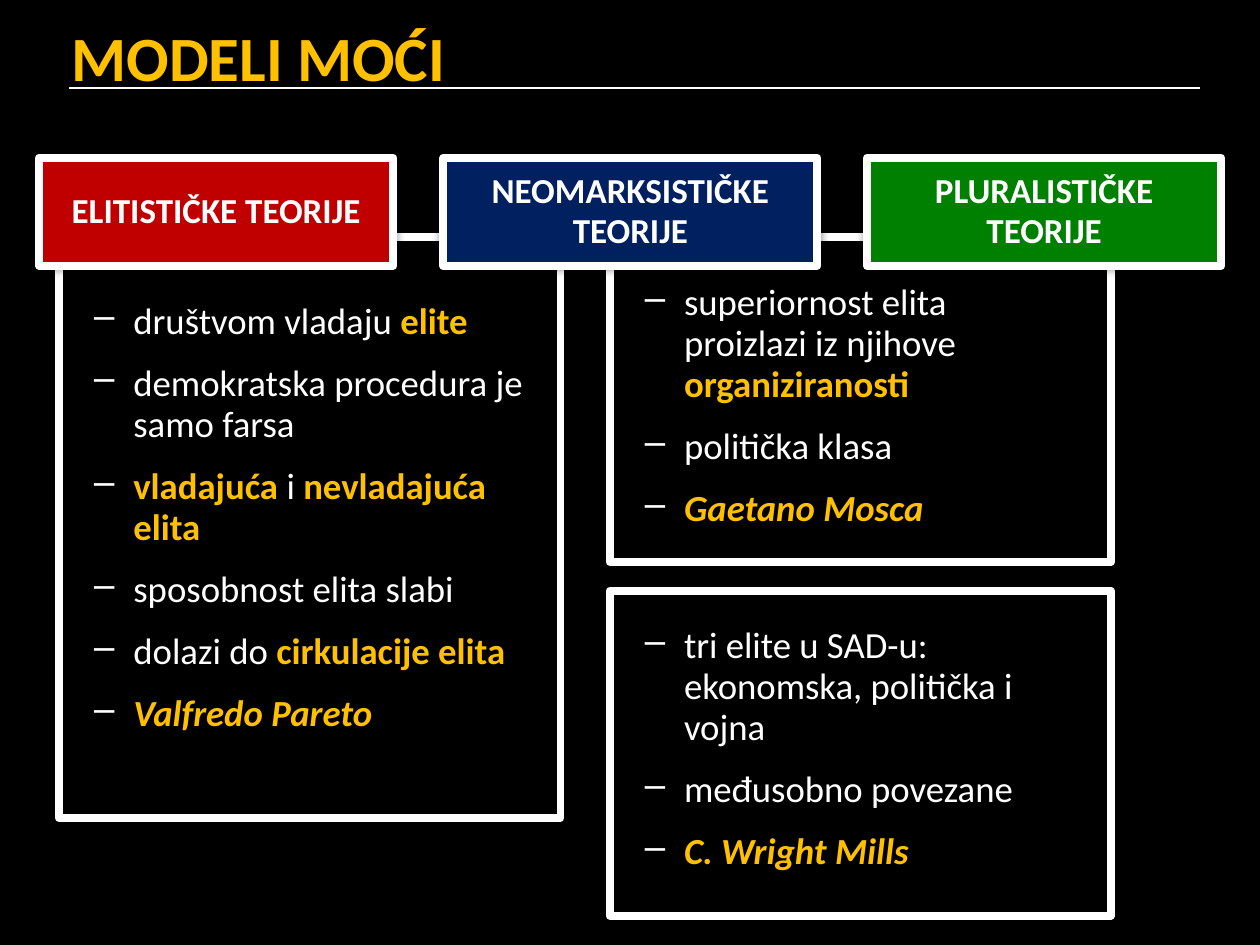
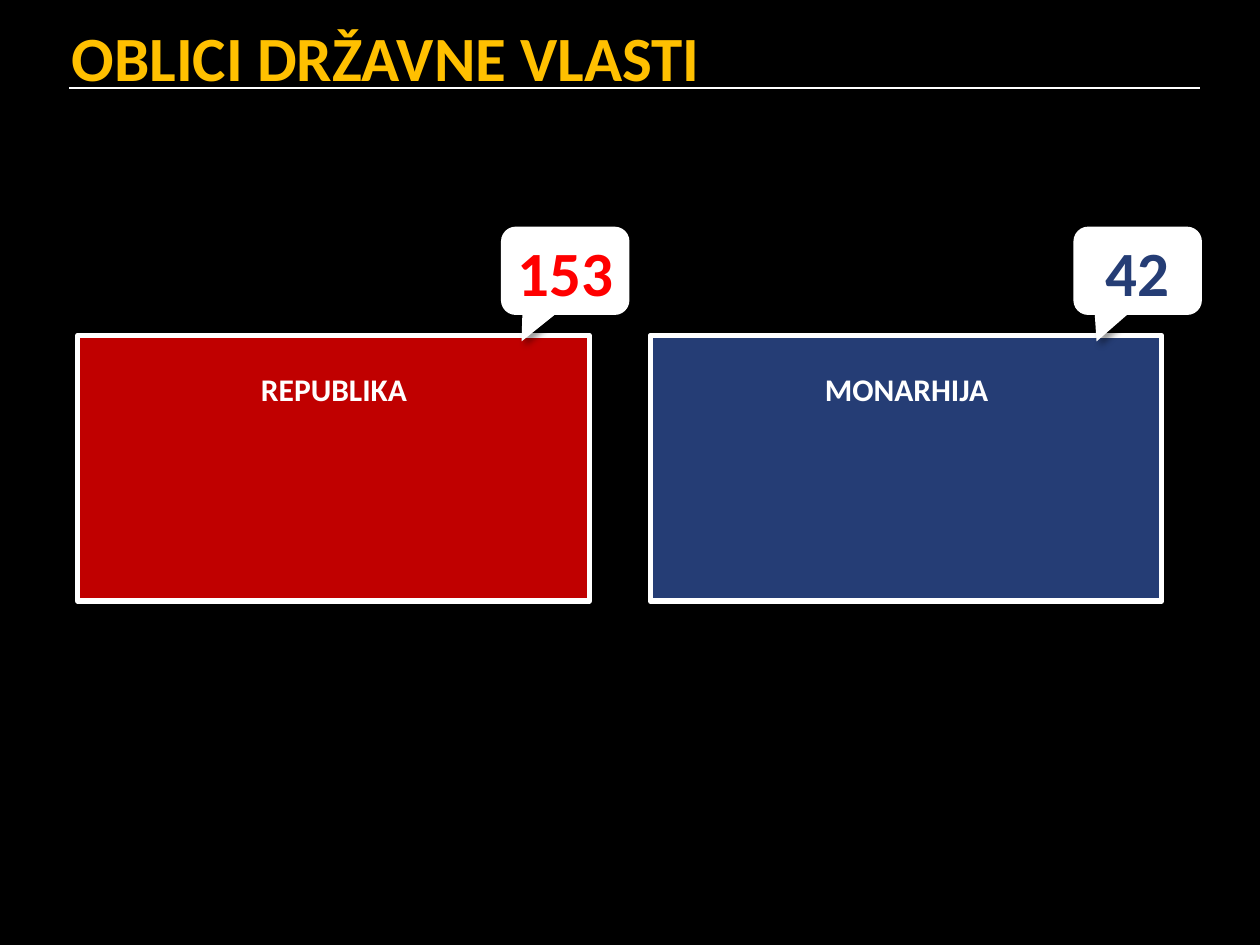
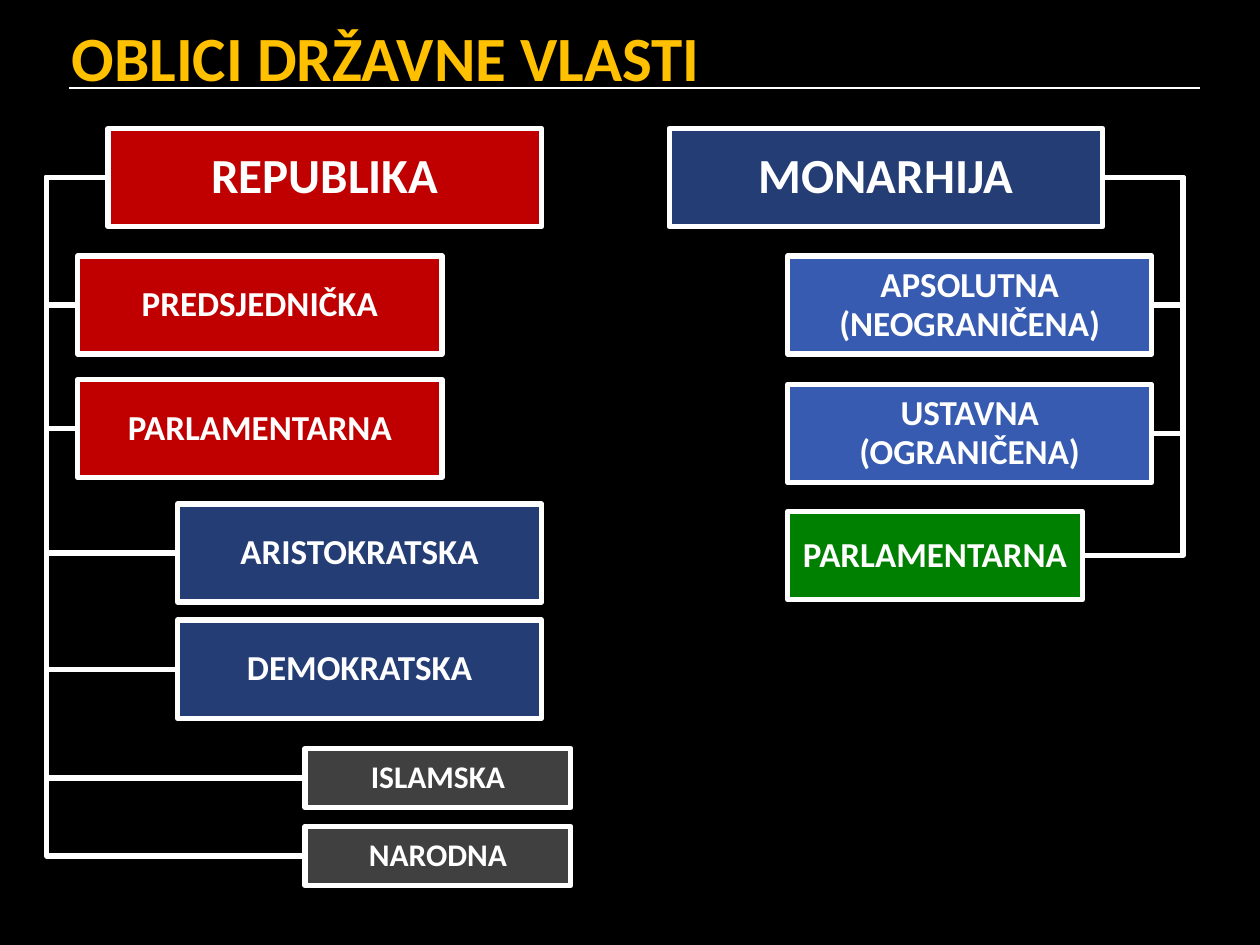
from dataclasses import dataclass

import pptx
import pptx.dml.color
import pptx.enum.shapes
import pptx.enum.text
import pptx.oxml
import pptx.oxml.ns
import pptx.util
from pptx.util import Cm, Pt

SHAPE = pptx.enum.shapes.MSO_SHAPE
ELBOW = pptx.enum.shapes.MSO_CONNECTOR.ELBOW
STRAIGHT = pptx.enum.shapes.MSO_CONNECTOR.STRAIGHT
ALIGN = pptx.enum.text.PP_ALIGN
ANCHOR = pptx.enum.text.MSO_ANCHOR
AUTO = pptx.enum.text.MSO_AUTO_SIZE


@dataclass(frozen=True)
class Theme:
    font: str = "Calibri"
    black: str = "000000"
    white: str = "FFFFFF"
    gold: str = "FFC000"
    red: str = "C00000"
    bright_red: str = "FF0000"
    navy: str = "002060"
    blue: str = "253D75"
    light_blue: str = "375BB0"
    green: str = "008000"
    grey: str = "404040"
    title_size: float = 36
    head_size: float = 28
    body_size: float = 21
    label_size: float = 20
    small_size: float = 18
    thick: float = 4.5
    medium: float = 3
    thin: float = 1
    spacing: float = 0.93


THEME = Theme()


# Shared formatting
def rgb(color):
    return pptx.dml.color.RGBColor.from_string(color)


def cm_box(box):
    return [Cm(length) for length in box]


def style_run(run, size, color, bold=True, italic=False):
    font = run.font
    font.name, font.size = THEME.font, Pt(size)
    font.bold, font.italic = bold, italic
    font.color.rgb = rgb(color)


def set_label(frame, text, size, color=THEME.white, align=ALIGN.CENTER, spacing=None):
    frame.text = text
    paragraph = frame.paragraphs[0]
    paragraph.alignment = align
    paragraph.line_spacing = spacing
    style_run(paragraph.runs[0], size, color)


def add_shadow(shape, blur, distance=0, angle=0):
    effects = pptx.oxml.parse_xml(
        f'<a:effectLst {pptx.oxml.ns.nsdecls("a")}>'
        f'<a:outerShdw blurRad="{Pt(blur)}" dist="{Pt(distance)}" dir="{angle * 60000}" rotWithShape="0">'
        f'<a:srgbClr val="{THEME.black}"><a:alpha val="40000"/></a:srgbClr>'
        '</a:outerShdw></a:effectLst>')
    properties = shape._element.spPr
    for old in properties.findall(pptx.oxml.ns.qn("a:effectLst")):
        properties.remove(old)
    properties.append(effects)


def add_block(shapes, box, fill=None, border=THEME.medium, kind=SHAPE.RECTANGLE):
    block = shapes.add_shape(kind, *cm_box(box))
    block.shadow.inherit = False
    if fill:
        block.fill.solid()
        block.fill.fore_color.rgb = rgb(fill)
    else:
        block.fill.background()
    if border:
        block.line.color.rgb = rgb(THEME.white)
        block.line.width = Pt(border)
    else:
        block.line.fill.background()
    return block


def add_labelled_block(shapes, box, text, fill, size=THEME.label_size, border=THEME.medium):
    block = add_block(shapes, box, fill, border)
    block.text_frame.word_wrap = True
    block.text_frame.vertical_anchor = ANCHOR.MIDDLE
    set_label(block.text_frame, text, size, spacing=THEME.spacing)
    return block


def add_line(shapes, kind, start, end, width):
    line = shapes.add_connector(kind, *cm_box(start + end))
    line.line.color.rgb = rgb(THEME.white)
    line.line.width = Pt(width)
    line._element.spPr.append(
        pptx.oxml.parse_xml(f'<a:effectLst {pptx.oxml.ns.nsdecls("a")}/>'))
    return line


def add_titled_slide(prs, text):
    slide = prs.slides.add_slide(prs.slide_layouts[5])
    title = slide.shapes.title
    title.left, title.top, title.width, title.height = cm_box((1.19, 0.2, 24.21, 1.6))
    frame = title.text_frame
    frame.auto_size = AUTO.NONE
    frame.vertical_anchor = ANCHOR.TOP
    frame.margin_top = Cm(0.18)
    set_label(frame, text, THEME.title_size, THEME.gold, ALIGN.LEFT)
    add_line(slide.shapes, STRAIGHT, (1.4, 1.78), (24.2, 1.78), THEME.thin)
    return slide


# Models of power
def add_bullet(paragraph, parts):
    paragraph.line_spacing = THEME.spacing
    paragraph.space_before = Pt(12)
    for text, mark in parts:
        run = paragraph.add_run()
        run.text = text
        style_run(run, THEME.body_size, THEME.gold if mark else THEME.white,
                  "b" in mark, "i" in mark)
    properties = paragraph._p.get_or_add_pPr()
    properties.set("marL", str(Cm(0.79)))
    properties.set("indent", str(-Cm(0.79)))
    namespace = pptx.oxml.ns.nsdecls("a")
    properties.append(pptx.oxml.parse_xml(
        f'<a:buClr {namespace}><a:srgbClr val="{THEME.white}"/></a:buClr>'))
    properties.append(pptx.oxml.parse_xml(f'<a:buChar {namespace} char="–"/>'))


def add_theory_panel(shapes, box, text_drop, text_height, bullets):
    left, top, width, _ = box
    add_shadow(add_block(shapes, box, border=THEME.thick), 5)
    notes = shapes.add_textbox(*cm_box((left + 0.46, top + text_drop, width - 0.89, text_height)))
    frame = notes.text_frame
    frame.word_wrap = True
    frame.auto_size = AUTO.SHAPE_TO_FIT_TEXT
    for index, parts in enumerate(bullets):
        add_bullet(frame.paragraphs[0] if index == 0 else frame.add_paragraph(), parts)


def build_power_models(prs):
    shapes = add_titled_slide(prs, "MODELI MOĆI").shapes
    panels = [
        ((12.29, 4.78, 10.11, 6.55), 0.79, 5.28, [
            [("superiornost elita proizlazi iz njihove ", ""), ("organiziranosti", "b")],
            [("politička klasa", "")],
            [("Gaetano Mosca", "bi")]]),
        ((1.19, 4.78, 10.11, 11.71), 1.17, 9.07, [
            [("društvom vladaju ", ""), ("elite", "b")],
            [("demokratska procedura je samo farsa", "")],
            [("vladajuća", "b"), (" i ", ""), ("nevladajuća elita", "b")],
            [("sposobnost elita slabi", "")],
            [("dolazi do ", ""), ("cirkulacije elita", "b")],
            [("Valfredo Pareto", "bi")]]),
        ((12.29, 11.91, 10.11, 6.55), 0.58, 5.28, [
            [("tri elite u SAD-u: ekonomska, politička i vojna", "")],
            [("međusobno povezane", "")],
            [("C. Wright Mills", "bi")]]),
    ]
    for panel in panels:
        add_theory_panel(shapes, *panel)

    # Theory headings overlap the tops of the panels
    for left, width, text, fill in [
            (0.79, 7.14, "ELITISTIČKE TEORIJE", THEME.red),
            (8.94, 7.54, "NEOMARKSISTIČKE TEORIJE", THEME.navy),
            (17.48, 7.14, "PLURALISTIČKE TEORIJE", THEME.green)]:
        heading = add_labelled_block(shapes, (left, 3.18, width, 2.18), text, fill,
                                     border=THEME.thick)
        add_shadow(heading, 5)


# Number of states by form of government
def add_government_card(shapes, box, text, fill):
    left, top, width, height = box
    card = shapes.add_group_shape().shapes
    add_shadow(add_block(card, box, fill), 4, 3, 45)
    caption = card.add_textbox(*cm_box((left + 0.4, top + 0.58, width - 0.78, height - 1.19)))
    caption.text_frame.word_wrap = True
    set_label(caption.text_frame, text, THEME.small_size)


def add_count_callout(shapes, card_box, count, color, tip):
    left, top, _, _ = card_box
    callout = add_block(shapes, (left + 8.53, top - 2.19, 2.59, 1.78), THEME.white,
                        border=None, kind=SHAPE.ROUNDED_RECTANGULAR_CALLOUT)
    callout.adjustments[0], callout.adjustments[1] = tip, 0.8
    add_shadow(callout, 4, 3, 45)
    callout.text_frame.word_wrap = False
    callout.text_frame.vertical_anchor = ANCHOR.MIDDLE
    set_label(callout.text_frame, count, THEME.title_size, color)


def build_government_counts(prs):
    shapes = add_titled_slide(prs, "OBLICI DRŽAVNE VLASTI").shapes
    for left, text, fill, count, count_color, tip in [
            (1.57, "REPUBLIKA", THEME.red, "153", THEME.bright_red, -0.34),
            (13.11, "MONARHIJA", THEME.blue, "42", THEME.blue, -0.32)]:
        box = (left, 6.76, 10.31, 5.36)
        add_government_card(shapes, box, text, fill)
        add_count_callout(shapes, box, count, count_color, tip)


# Tree of government forms
def side_point(box, on_right):
    left, top, width, height = box
    return left + width * on_right, top + height / 2


def add_government_tree(shapes, head_box, head_text, head_fill, spine, branches):
    on_right = spine > head_box[0]
    start = side_point(head_box, on_right)
    for box, _, _, _ in branches:
        end = side_point(box, on_right)
        elbow = add_line(shapes, ELBOW, start, end, THEME.medium)
        bend = round((spine - start[0]) / (end[0] - start[0]) * 100000)
        guides = elbow._element.spPr.find(pptx.oxml.ns.qn("a:prstGeom")).get_or_add_avLst()
        guides.append(pptx.oxml.parse_xml(
            f'<a:gd {pptx.oxml.ns.nsdecls("a")} name="adj1" fmla="val {bend}"/>'))
    add_labelled_block(shapes, head_box, head_text, head_fill, THEME.head_size)
    for box, text, fill, size in branches:
        add_labelled_block(shapes, box, text, fill, size)


def build_government_forms(prs):
    shapes = add_titled_slide(prs, "OBLICI DRŽAVNE VLASTI").shapes
    label, small = THEME.label_size, THEME.small_size
    wide, narrow = (7.34, 1.98), (5.36, 1.19)
    add_government_tree(shapes, (2.18, 2.59, 8.74, 1.98), "REPUBLIKA", THEME.red, 0.94, [
        ((1.57, 5.16, *wide), "PREDSJEDNIČKA", THEME.red, label),
        ((1.57, 7.65, *wide), "PARLAMENTARNA", THEME.red, label),
        ((3.58, 10.16, *wide), "ARISTOKRATSKA", THEME.blue, label),
        ((3.58, 12.5, *wide), "DEMOKRATSKA", THEME.blue, label),
        ((6.15, 15.09, *narrow), "ISLAMSKA", THEME.grey, small),
        ((6.15, 16.66, *narrow), "NARODNA", THEME.grey, small)])
    add_government_tree(shapes, (13.49, 2.59, 8.74, 1.98), "MONARHIJA", THEME.blue, 23.85, [
        ((15.88, 5.16, *wide), "APSOLUTNA (NEOGRANIČENA)", THEME.light_blue, label),
        ((15.88, 7.75, *wide), "USTAVNA (OGRANIČENA)", THEME.light_blue, label),
        ((15.88, 10.31, 5.94, 1.78), "PARLAMENTARNA", THEME.green, label)])


def main():
    prs = pptx.Presentation()
    prs.slide_width, prs.slide_height = Cm(25.4), Cm(19.05)
    backdrop = prs.slide_master.background.fill
    backdrop.solid()
    backdrop.fore_color.rgb = rgb(THEME.black)
    build_power_models(prs)
    build_government_counts(prs)
    build_government_forms(prs)
    prs.save("out.pptx")


if __name__ == "__main__":
    main()
